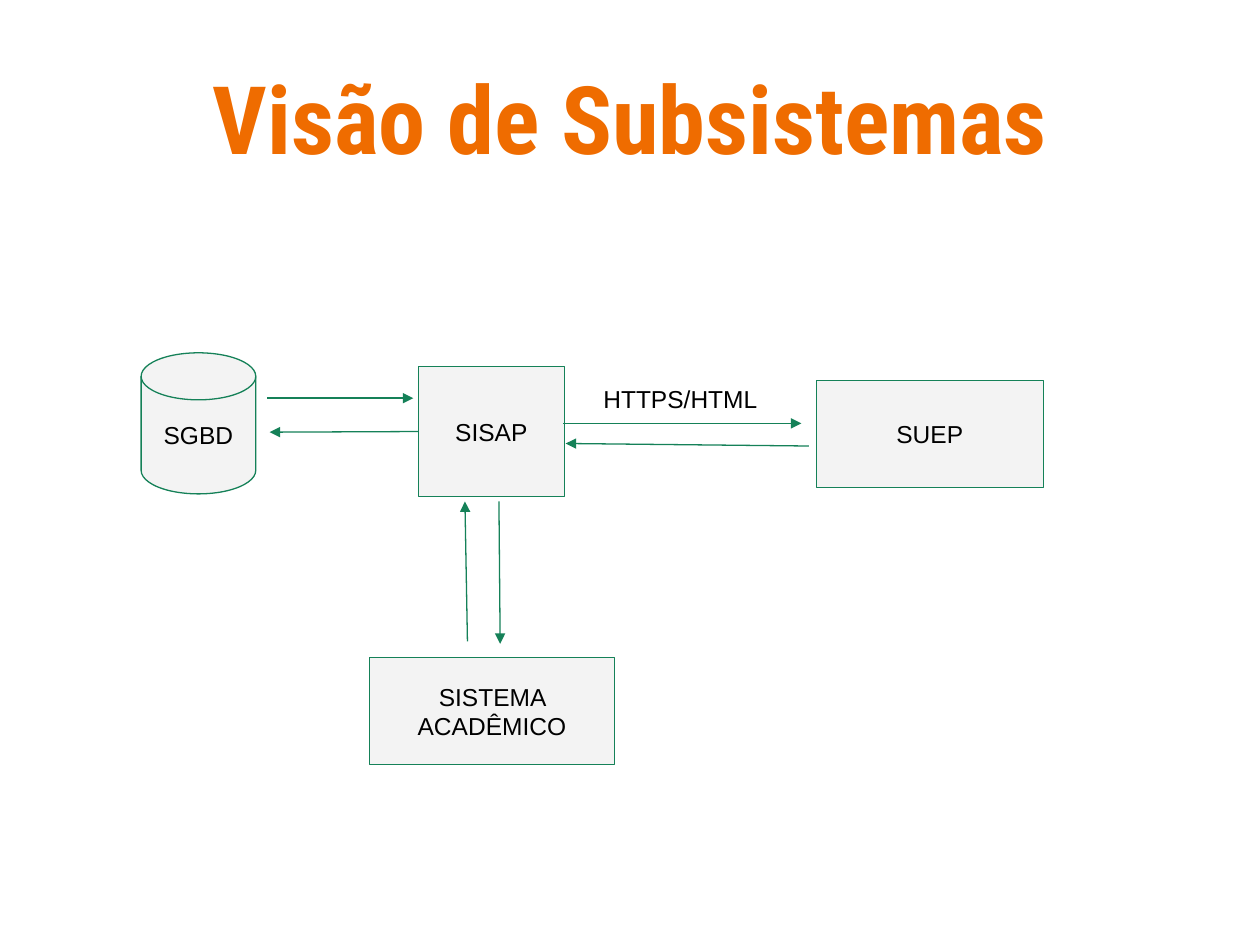
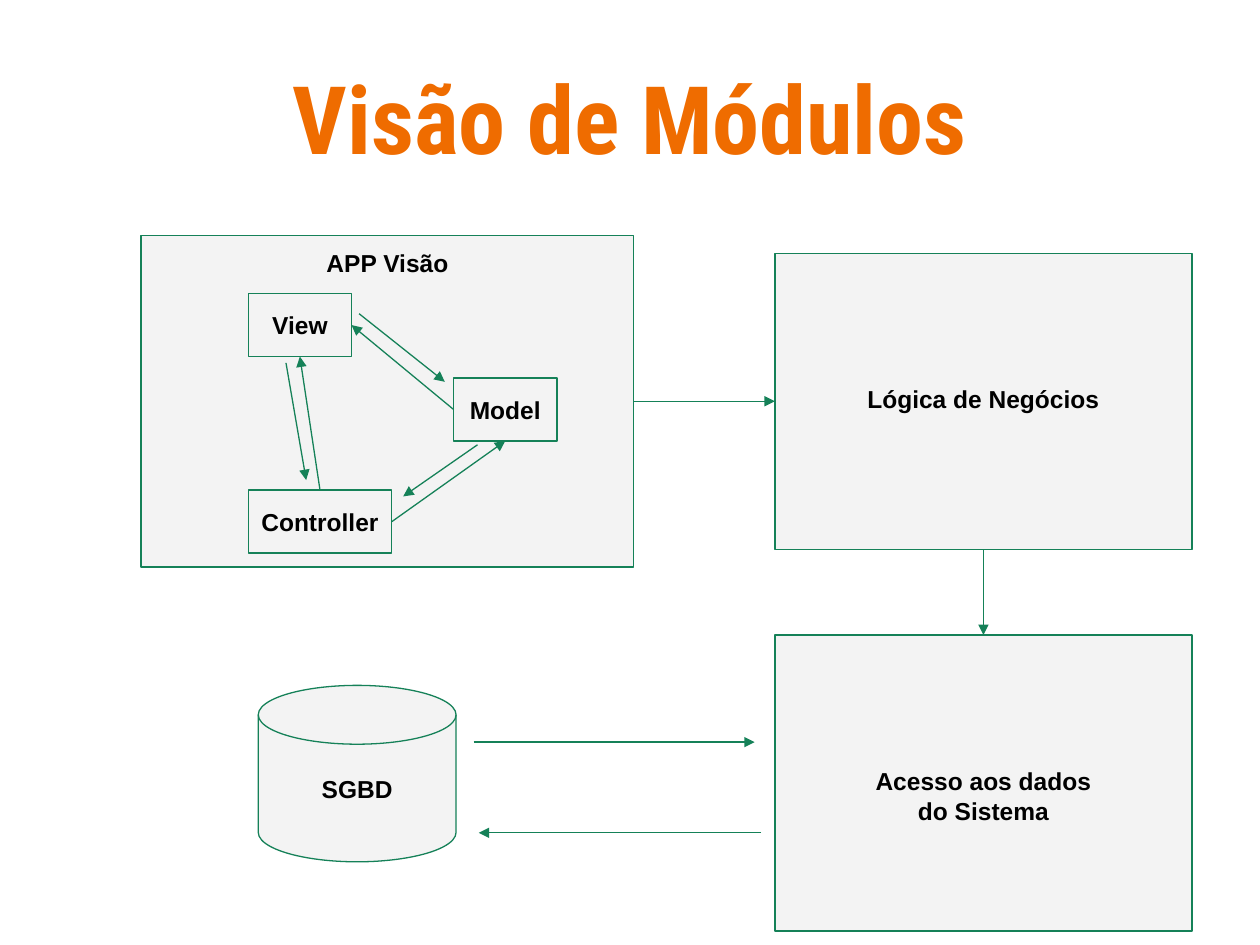
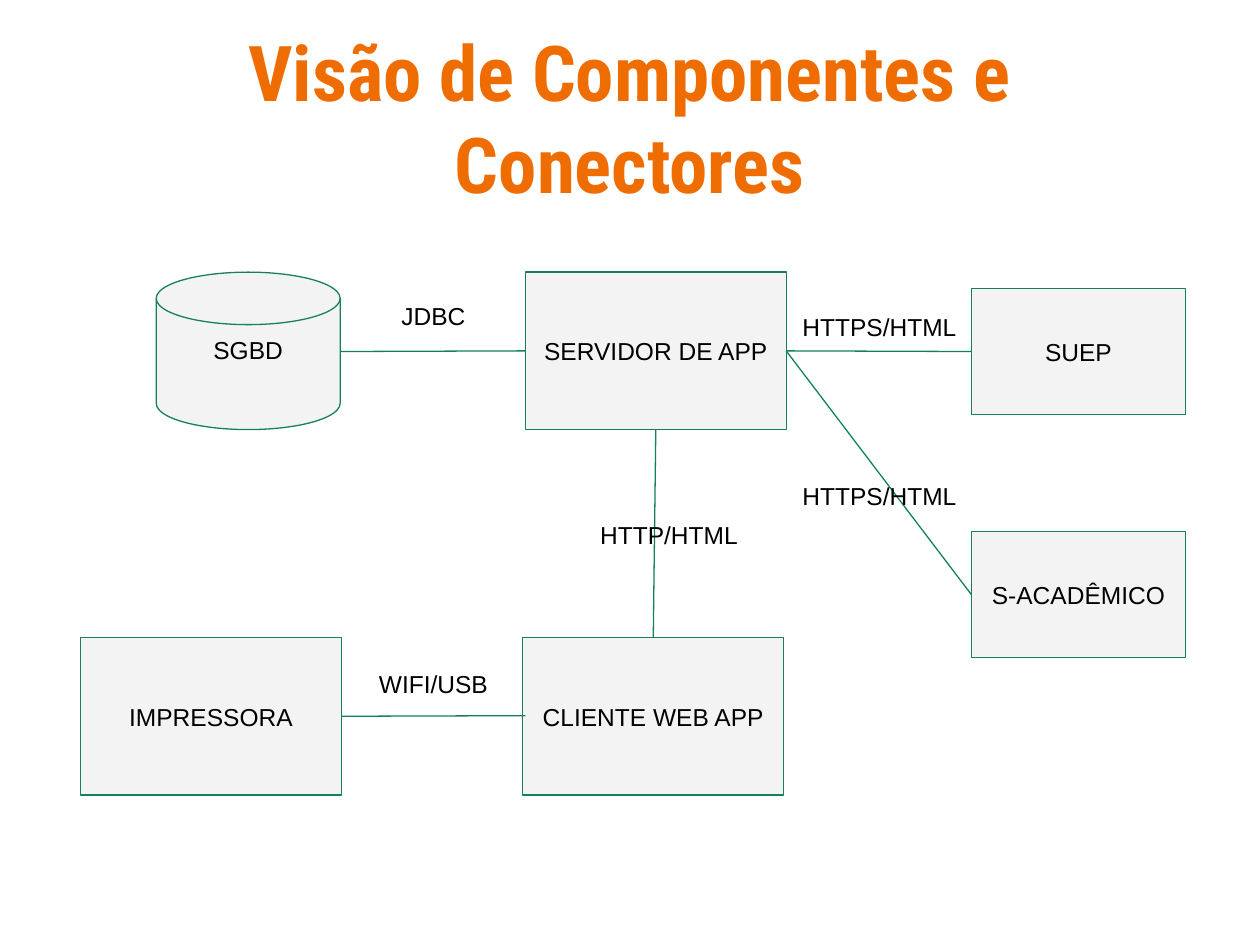
"""Build three architecture view slides: subsystems, modules, components."""
import pptx
import pptx.dml.color
import pptx.enum.shapes
import pptx.enum.text
import pptx.oxml.ns
import pptx.util
from lxml import etree

RGB = pptx.dml.color.RGBColor.from_string
SHAPE = pptx.enum.shapes.MSO_SHAPE
ALIGN = pptx.enum.text.PP_ALIGN
ANCHOR = pptx.enum.text.MSO_ANCHOR
FIT = pptx.enum.text.MSO_AUTO_SIZE
qn = pptx.oxml.ns.qn

WIDE, HIGH = pptx.util.Inches(10), pptx.util.Inches(7.5)
COLS, ROWS = 100, 75
TOP, LEFT, BOTTOM, RIGHT = range(4)

THEME = {
    "ink": RGB("000000"),
    "title": RGB("EF6C00"),
    "edge": RGB("158158"),
    "fill": RGB("F3F3F3"),
    "head": "Roboto Condensed",
    "body": "Arial",
    "size": 14,
    "line": 0.75,
    "pad": 1,
}
TITLE = (5, 3, 90, 12.5)
LABEL = (15.2, 4.1)
DISK = SHAPE.FLOWCHART_MAGNETIC_DISK
RECT = SHAPE.RECTANGLE

SLIDES = [
    {
        "title": "Visão de Subsistemas", "size": 54, "bold": False, "arrow": True,
        "boxes": [
            ("SISAP", RECT, (33.2, 29.1, 11.6, 10.3), {}),
            ("SUEP", RECT, (64.8, 30.2, 18, 8.5), {}),
            ("SGBD", DISK, (11.2, 28, 9.1, 11.2), {}),
            ("SISTEMA ACADÊMICO", RECT, (29.3, 52.2, 19.5, 8.5), {}),
        ],
        "links": [
            ((21.2, 31.6), (32.8, 31.6)),
            (("SISAP", LEFT), (21.4, 34.3)),
            ((44.7, 33.6), (63.6, 33.6)),
            ((39.6, 39.8), (39.7, 51.1)),
            ((37.1, 50.9), (36.9, 39.8)),
            ((64.2, 35.4), (44.9, 35.2)),
        ],
        "labels": [("HTTPS/HTML", 46.9, 29.5, ALIGN.LEFT)],
    },
    {
        "title": "Visão de Módulos", "size": 54, "bold": True, "arrow": True,
        "boxes": [
            ("APP Visão", RECT, (11.2, 18.7, 39.1, 26.3), {"top": 1}),
            ("View", RECT, (19.7, 23.3, 8.2, 5), {}),
            ("Model", RECT, (36, 30, 8.2, 5), {}),
            ("Controller", RECT, (19.7, 38.9, 11.4, 5), {}),
            ("Lógica de Negócios", RECT, (61.5, 20.1, 33.1, 23.5), {"top": 10.4}),
            ("Acesso aos dados\ndo Sistema", RECT, (61.5, 50.4, 33.1, 23.5), {"top": 10.4}),
            ("SGBD", DISK, (20.5, 54.4, 15.7, 14), {}),
        ],
        "links": [
            (("Model", LEFT), ("View", RIGHT)),
            (("Controller", RIGHT), ("Model", BOTTOM)),
            (("Controller", TOP), ("View", BOTTOM)),
            ((22.7, 28.8), (24.3, 38.1)),
            ((28.5, 24.9), (35.3, 30.3)),
            ((37.9, 35.3), (32, 39.4)),
            (("APP Visão", RIGHT), ("Lógica de Negócios", LEFT)),
            ((37.6, 58.9), (59.9, 58.9)),
            (("Lógica de Negócios", BOTTOM), ("Acesso aos dados\ndo Sistema", TOP)),
            ((60.4, 66.1), (38, 66.1)),
        ],
        "labels": [],
    },
    {
        "title": "Visão de Componentes e Conectores", "size": 44, "bold": False, "arrow": False,
        "boxes": [
            ("SGBD", DISK, (12.4, 21.6, 14.6, 12.5), {"low": 3.3}),
            ("CLIENTE WEB APP", RECT, (41.5, 50.6, 20.7, 12.5), {}),
            ("SERVIDOR DE APP", RECT, (41.7, 21.6, 20.7, 12.5), {}),
            ("IMPRESSORA", RECT, (6.4, 50.6, 20.7, 12.5), {}),
            ("SUEP", RECT, (77.1, 22.9, 17, 10), {}),
            ("S-ACADÊMICO", RECT, (77.1, 42.2, 17, 10), {}),
        ],
        "links": [
            ((27, 27.9), ("SERVIDOR DE APP", LEFT)),
            (("SERVIDOR DE APP", BOTTOM), ("CLIENTE WEB APP", TOP)),
            (("IMPRESSORA", RIGHT), (41.7, 56.8)),
            (("SERVIDOR DE APP", RIGHT), ("SUEP", LEFT)),
            (("SERVIDOR DE APP", RIGHT), ("S-ACADÊMICO", LEFT)),
        ],
        "labels": [
            ("HTTP/HTML", 45.5, 40.3, ALIGN.CENTER),
            ("JDBC", 26.8, 22.9, ALIGN.CENTER),
            ("WIFI/USB", 26.8, 52.1, ALIGN.CENTER),
            ("HTTPS/HTML", 62.2, 23.8, ALIGN.CENTER),
            ("HTTPS/HTML", 62.2, 37.2, ALIGN.CENTER),
        ],
    },
]


def across(n):
    return round(WIDE * n / COLS)


def down(n):
    return round(HIGH * n / ROWS)


def place(x, y, w, h):
    return across(x), down(y), across(w), down(h)


def apply(item, vals):
    for name, val in vals.items():
        setattr(item, name, val)


def write(shape, text, font, frame, align=ALIGN.CENTER):
    body = shape.text_frame
    body.text = text
    pad = across(THEME["pad"])
    apply(body, {"word_wrap": True, "auto_size": FIT.NONE, "margin_left": pad,
                 "margin_right": pad, "margin_top": pad, "margin_bottom": pad, **frame})
    color = font.pop("color", THEME["ink"])
    for para in body.paragraphs:
        para.alignment = align
        for run in para.runs:
            apply(run.font, font)
            run.font.color.rgb = color


def plain(bold=False):
    return {"name": THEME["body"], "size": pptx.util.Pt(THEME["size"]), "bold": bold}


def stroke(line):
    line.color.rgb = THEME["edge"]
    line.width = pptx.util.Pt(THEME["line"])


def add_title(slide, text, size):
    title = slide.shapes.title
    apply(title, dict(zip(("left", "top", "width", "height"), place(*TITLE))))
    font = {"name": THEME["head"], "size": pptx.util.Pt(size), "bold": True,
            "color": THEME["title"]}
    thin = down(THEME["pad"] / 2)
    write(title, text, font, {"vertical_anchor": ANCHOR.MIDDLE,
                              "margin_top": thin, "margin_bottom": thin})


def add_box(slide, text, kind, spot, pads, bold):
    box = slide.shapes.add_shape(kind, *place(*spot))
    box.shadow.inherit = False
    box.fill.solid()
    box.fill.fore_color.rgb = THEME["fill"]
    stroke(box.line)
    frame = {"vertical_anchor": ANCHOR.TOP if "top" in pads else ANCHOR.MIDDLE,
             "margin_top": down(pads.get("top", THEME["pad"])),
             "margin_bottom": down(pads.get("low", THEME["pad"]))}
    write(box, text, plain(bold), frame)
    return box


def add_link(slide, boxes, ends, arrow):
    spots = [(0, 0) if end[0] in boxes else (across(end[0]), down(end[1])) for end in ends]
    link = slide.shapes.add_connector(
        pptx.enum.shapes.MSO_CONNECTOR.STRAIGHT, *spots[0], *spots[1])
    for end, join in zip(ends, (link.begin_connect, link.end_connect)):
        if end[0] in boxes:
            join(boxes[end[0]], end[1])
    stroke(link.line)
    props = link.element.find(qn("p:spPr"))
    if arrow:
        etree.SubElement(props.find(qn("a:ln")), qn("a:tailEnd"), type="triangle")
    etree.SubElement(props, qn("a:effectLst"))


def add_label(slide, text, x, y, align):
    label = slide.shapes.add_textbox(*place(x, y, *LABEL))
    write(label, text, plain(), {"vertical_anchor": ANCHOR.TOP}, align)


def main():
    deck = pptx.Presentation()
    apply(deck, {"slide_width": WIDE, "slide_height": HIGH})
    for view in SLIDES:
        slide = deck.slides.add_slide(deck.slide_layouts.get_by_name("Title Only"))
        add_title(slide, view["title"], view["size"])
        boxes = {box[0]: add_box(slide, *box, view["bold"]) for box in view["boxes"]}
        for ends in view["links"]:
            add_link(slide, boxes, ends, view["arrow"])
        for label in view["labels"]:
            add_label(slide, *label)
    deck.save("out.pptx")


if __name__ == "__main__":
    main()
